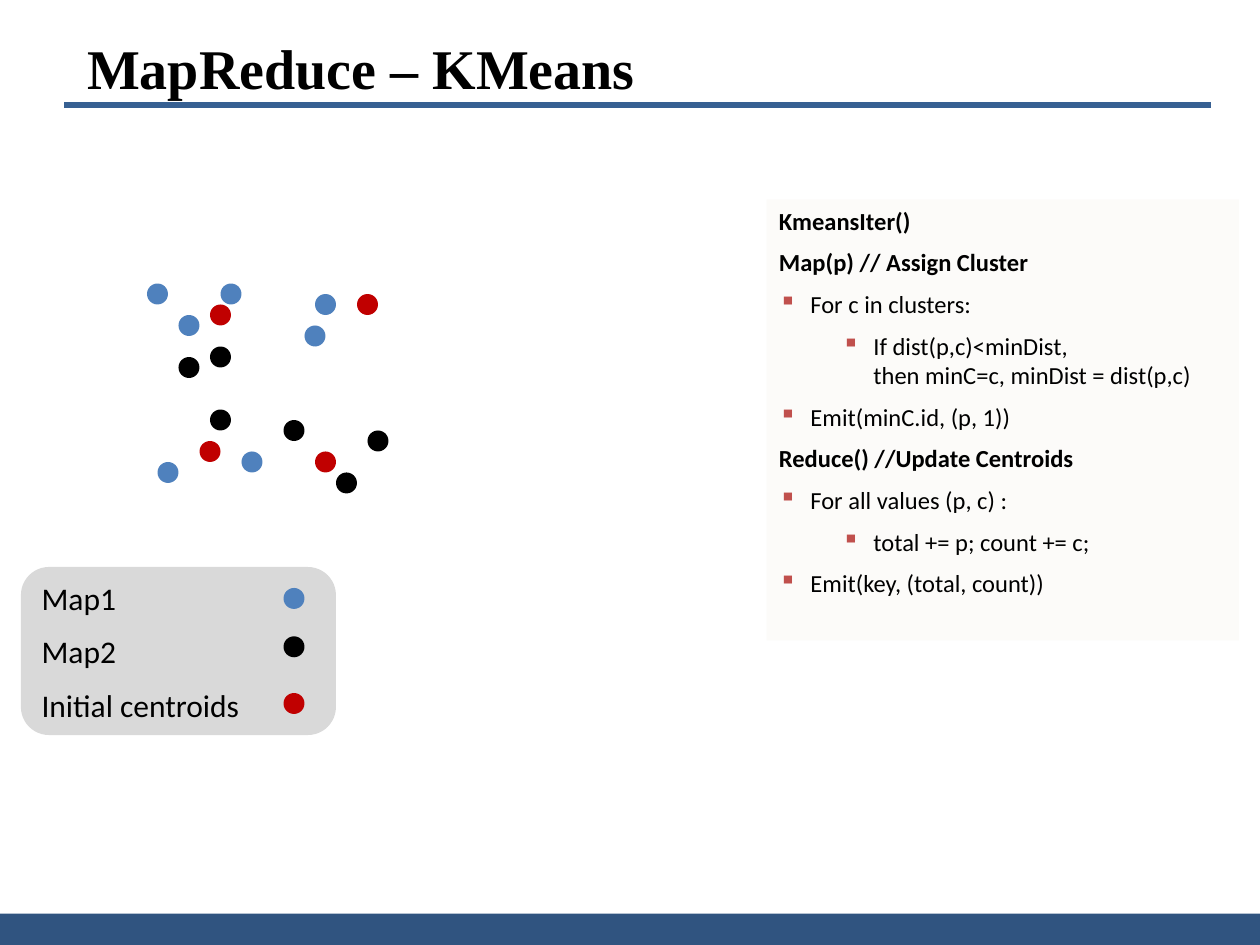
from lxml import etree
from pptx import Presentation
from pptx import util as u
from pptx.dml.color import RGBColor
from pptx.enum import shapes, text
from pptx.oxml import ns

PX = 7620
DOT = 20
COLORS = {
    "band": "305480", "rule": "376092", "ink": "000000", "code": "FCFBF9",
    "bullet": "C0504D", "legend": "D9D9D9",
    "map1": "4F81BD", "map2": "000000", "centroid": "C00000",
}
POINTS = {
    "map2": [(200, 390), (320, 450), (200, 330), (270, 400), (170, 340), (350, 410)],
    "map1": [(170, 300), (140, 270), (210, 270), (300, 280), (290, 310), (230, 430), (150, 440)],
    "centroid": [(340, 280), (190, 420), (300, 430), (200, 290)],
}
LEGEND = [("Map1", "map1", 20), ("Map2", "map2", 66), ("Initial centroids", "centroid", 120)]
HEADING, STEP, SUBSTEP = "heading", "step", "substep"
CODE = [
    (HEADING, "KmeansIter()"),
    (HEADING, "Map(p) // Assign Cluster"),
    (STEP, "For c in clusters:"),
    (SUBSTEP, "If dist(p,c)<minDist, \nthen minC=c, minDist = dist(p,c)"),
    (STEP, "Emit(minC.id, (p, 1))"),
    (HEADING, "Reduce() //Update Centroids"),
    (STEP, "For all values (p, c) :"),
    (SUBSTEP, "total += p; count += c;"),
    (STEP, "Emit(key, (total, count))"),
]


def px(*values):
    return [u.Emu(value * PX) for value in values]


def color(name):
    return RGBColor.from_string(COLORS[name])


def set_values(target, **values):
    for name, value in values.items():
        setattr(target, name, value)


def add_filled(parent, kind, box, fill):
    shape = parent.add_shape(kind, *px(*box))
    shape.shadow.inherit = False
    shape.fill.solid()
    shape.fill.fore_color.rgb = color(fill)
    shape.line.fill.background()
    return shape


def add_dot(parent, x, y, fill):
    add_filled(parent, shapes.MSO_SHAPE.OVAL, (x, y, DOT, DOT), fill)


def add_bullet(para):
    properties = para._p.get_or_add_pPr()
    tint = etree.SubElement(properties, ns.qn("a:buClr"))
    etree.SubElement(tint, ns.qn("a:srgbClr"), val=COLORS["bullet"])
    etree.SubElement(properties, ns.qn("a:buChar"), char="▪")


def write(para, words, size, font="Calibri", bold=False):
    para.text = words
    para.alignment = text.PP_ALIGN.LEFT
    for span in para.runs:
        set_values(span.font, size=u.Pt(size), name=font, bold=bold)
        span.font.color.rgb = color("ink")
    for line_break in para._p.findall(ns.qn("a:br")):
        etree.SubElement(line_break, ns.qn("a:rPr"), sz=str(size * 100))


def next_para(frame, index):
    return frame.add_paragraph() if index else frame.paragraphs[0]


def add_frame(page, width, height):
    add_filled(page.shapes, shapes.MSO_SHAPE.RECTANGLE, (0, height - 30, width, 30), "band")
    rule = page.shapes.add_connector(shapes.MSO_CONNECTOR.STRAIGHT, *px(61, 100, 1153, 100))
    rule.line.color.rgb = color("rule")
    rule.line.width = u.Pt(3)
    etree.SubElement(rule._element.spPr, ns.qn("a:effectLst"))


def add_title(page, box, words):
    title = page.shapes.title
    left, top, width, height = px(*box)
    set_values(title, left=left, top=top, width=width, height=height)
    set_values(title.text_frame, word_wrap=True, vertical_anchor=text.MSO_ANCHOR.MIDDLE,
               auto_size=text.MSO_AUTO_SIZE.NONE)
    write(title.text_frame.paragraphs[0], words, 32, "Times New Roman", True)


def add_cloud(page, left, top):
    group = page.shapes.add_group_shape().shapes
    for fill, places in POINTS.items():
        for x, y in places:
            add_dot(group, left + x, top + y, fill)


def add_code(page, box):
    panel = add_filled(page.shapes, shapes.MSO_SHAPE.RECTANGLE, box, "code")
    frame = panel.text_frame
    set_values(frame, word_wrap=True, vertical_anchor=text.MSO_ANCHOR.TOP)
    for index, (role, words) in enumerate(CODE):
        para = next_para(frame, index)
        set_values(para, level=int(role == SUBSTEP), space_after=u.Pt(2.1),
                   space_before=u.Pt(4.9 if index else 0))
        margin = 90 if role == SUBSTEP else 30
        properties = para._p.get_or_add_pPr()
        properties.set("marL", str(margin * PX))
        properties.set("indent", str(-30 * PX))
        if role != HEADING:
            add_bullet(para)
        write(para, words, 14, bold=role == HEADING)


def add_legend(page, box):
    left, top, width, height = box
    group = page.shapes.add_group_shape().shapes
    panel = add_filled(group, shapes.MSO_SHAPE.ROUNDED_RECTANGLE, box, "legend")
    frame = panel.text_frame
    set_values(frame, word_wrap=True, vertical_anchor=text.MSO_ANCHOR.MIDDLE)
    for index, (words, fill, y) in enumerate(LEGEND):
        para = next_para(frame, index)
        para.space_before = u.Pt(9 if index else 0)
        write(para, words, 18)
        add_dot(group, left + width - 50, top + y, fill)


def main():
    deck = Presentation()
    width, height = 1200, 900
    deck.slide_width, deck.slide_height = px(width, height)
    page = deck.slides.add_slide(deck.slide_layouts[5])
    add_frame(page, width, height)
    add_title(page, (71, 25, 1058, 77), "MapReduce – KMeans")
    add_cloud(page, 0, 0)
    add_code(page, (730, 190, 450, 420))
    add_legend(page, (20, 540, 300, 160))
    deck.save("out.pptx")


if __name__ == "__main__":
    main()
